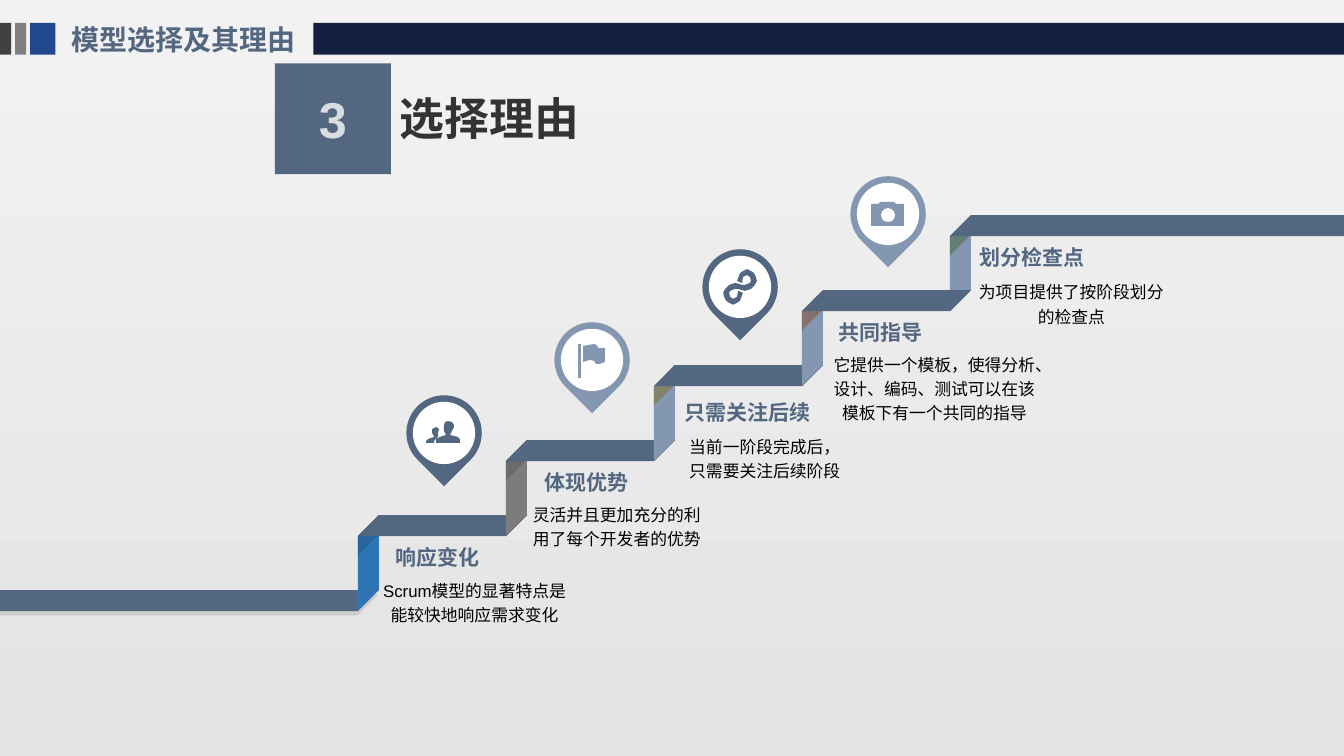
from lxml.etree import SubElement
from pptx import Presentation
from pptx.dml.color import RGBColor
from pptx.enum.shapes import MSO_SHAPE as Preset
from pptx.enum.text import MSO_ANCHOR as Anchor, PP_ALIGN as Align
from pptx.oxml.ns import qn
from pptx.util import Cm, Pt

COLORS = {
    "sky": "F2F2F2", "ground": "E4E4E4", "charcoal": "404040", "gray": "808080",
    "blue": "21478D", "navy": "151F40", "slate": "536781", "mist": "8497B0",
    "white": "FFFFFF", "black": "000000", "heading": "333333", "number": "DADDDF",
    "azure": "2E75B6", "azure_dark": "1F4E79", "stone": "7C7C7C", "stone_dark": "525252",
    "olive": "806000", "rust": "843C0B", "green": "385723",
}
FONT = "Arial"
THICKNESS, RISER, SHADE = 0.53, 2.41, 1.02
RUN, RISE, TREAD = 3.73, 1.89, 4.27
PIN, DISC, LENS = 1.9, 1.57, 0.35

LINK = [(2, -2.5), (5, -1.5), (10, -3.5), (11, -6.5), (10, -9.5), (7, -11.5), (3, -10),
        (2, -4.5), (-3, -5.5), (0, -13.5), (3, -16.5), (7, -17.5), (11, -16.5),
        (14, -13.5), (16.5, -10), (17, -6.5), (15, -1.5), (11, 2), (5, 3.5), (1, 3)]
ICONS = {
    "people": [
        [(-9.5, 7.5), (-6.5, 3.5), (-5.5, 0.5), (-5, -3.5), (-8.5, -5.5), (-11.5, -3.5),
         (-11.5, 0.5), (-10.5, 3.5), (-15.5, 5.5), (-17.5, 7.5), (-17.5, 9.5), (-9.5, 9.5)],
        [(13.5, 3.5), (6.5, 1.5), (8.5, -2.5), (9.5, -5.5), (9.5, -8.5), (8, -11),
         (4.5, -11.5), (1, -11), (0, -8.5), (0, -5.5), (0.5, -2.5), (2.5, 1.5),
         (-4.5, 3.5), (-7.5, 6.5), (-7.5, 9.5), (16.5, 9.5), (16.5, 6.5)]],
    "flag": [
        [(-14, -16.5), (-11, -16.5), (-11, 17.5), (-14, 17.5)],
        [(-9, -13.5), (-4, -15), (2, -16), (5, -15), (5.5, -12), (13, -11.5), (13, 2.5),
         (8, 4), (4, 4), (2.5, 1), (-2, 0.5), (-9, 2.5)]],
    "chain": [LINK + [(-x, -y) for x, y in LINK]],
    "camera": [
        [(-17, -9.5), (-9.5, -9.5), (-7.5, -11.5), (6, -11.5), (8, -9.5), (16.5, -9.5),
         (16.5, 12.5), (-17, 12.5)]],
}
PINS = [("people", "slate"), ("flag", "mist"), ("chain", "slate"), ("camera", "mist")]

STEPS = [
    ("响应变化", (0.94, 0.74), "Scrum模型的显著特点是能较快地响应需求变化",
     (0.45, 1.55, 4.98), "azure", "azure_dark", TREAD),
    ("体现优势", (0.97, 0.75), "灵活并且更加充分的利用了每个开发者的优势",
     (0.66, 1.53, 4.27), "stone", "stone_dark", TREAD),
    ("只需关注后续", (0.77, 0.86), "当前一阶段完成后，只需要关注后续阶段",
     (0.79, 1.7, 4.01), "mist", "olive", TREAD),
    ("共同指导", (0.92, 0.74), "它提供一个模板，使得分析、设计、编码、测试可以在该模板下有一个共同的指导",
     (0.8, 1.53, 5.08), "mist", "rust", TREAD),
    ("划分检查点", (0.75, 0.73), "为项目提供了按阶段划分的检查点",
     (0.67, 1.59, 4.78), "mist", "green", 10.49),
]


def rgb(color):
    """Return the named colour."""
    return RGBColor.from_string(COLORS[color])


def paint(shape, color):
    """Give a shape a flat fill without line or shadow."""
    shape.shadow.inherit = False
    shape.fill.solid()
    shape.fill.fore_color.rgb = rgb(color)
    shape.line.fill.background()
    return shape


def add_block(slide, preset, left, top, width, height, color):
    """Add a plain preset shape."""
    block = slide.shapes.add_shape(preset, Cm(left), Cm(top), Cm(width), Cm(height))
    return paint(block, color)


def write(shape, text, size, color, bold=False, align=Align.LEFT):
    """Write one paragraph into a shape."""
    frame = shape.text_frame
    frame.text = text
    paragraph = frame.paragraphs[0]
    paragraph.alignment = align
    font = paragraph.runs[0].font
    font.name, font.size, font.bold = FONT, Pt(size), bold
    font.color.rgb = rgb(color)
    return paragraph


def add_label(slide, left, top, width, height, text, size, color, bold=False,
              align=Align.LEFT, inset=0.0):
    """Add a wrapping text box and return its paragraph."""
    label = slide.shapes.add_textbox(Cm(left), Cm(top), Cm(width), Cm(height))
    frame = label.text_frame
    frame.word_wrap = True
    frame.margin_left = frame.margin_right = Cm(inset)
    frame.margin_top = frame.margin_bottom = Cm(inset / 2)
    return write(label, text, size, color, bold, align)


def add_tread(slide, left, top, width):
    """Add the slanted horizontal part of a step."""
    tread = add_block(slide, Preset.PARALLELOGRAM, left, top, width, THICKNESS, "slate")
    tread.adjustments[0] = 1
    return tread


def add_upright(slide, left, top, length, color):
    """Add a vertical parallelogram hanging from the given corner."""
    upright = add_block(slide, Preset.PARALLELOGRAM, left + (THICKNESS - length) / 2,
                        top + (length - THICKNESS) / 2, length, THICKNESS, color)
    upright.adjustments[0] = 1
    upright.rotation = 90
    upright._element.spPr.find(qn("a:xfrm")).set("flipH", "1")
    return upright


def set_alpha(shape, percent):
    """Make the fill of a shape partly transparent."""
    tint = shape._element.spPr.find(qn("a:solidFill"))[0]
    SubElement(tint, qn("a:alpha"), val=str(percent * 1000))


def drop_shadow(shape):
    """Put a faint shadow just below a shape."""
    effects = shape._element.spPr.find(qn("a:effectLst"))
    shadow = SubElement(effects, qn("a:outerShdw"), dist=str(Pt(3)), dir="5400000",
                        algn="t", rotWithShape="0")
    shade = SubElement(shadow, qn("a:srgbClr"), val=COLORS["black"])
    SubElement(shade, qn("a:alpha"), val="10000")


def add_header(slide, top, height):
    """Draw the title strip across the slide."""
    for left, width, color in [(0, 0.28, "charcoal"), (0.76, 0.64, "blue"),
                               (0.38, 0.28, "gray"), (7.9, 25.97, "navy")]:
        add_block(slide, Preset.RECTANGLE, left, top, width, height, color)
    add_label(slide, 1.55, top - 0.15, 6.35, 1.12, "模型选择及其理由", 20, "slate", True,
              inset=0.25)


def add_section(slide, left, top, width, height):
    """Draw the numbered badge and the section heading."""
    badge = add_block(slide, Preset.RECTANGLE, left, top, width, height, "slate")
    badge.text_frame.vertical_anchor = Anchor.MIDDLE
    write(badge, "3", 36, "number", True, Align.CENTER)
    add_label(slide, left + width - 0.02, top + 0.56, 14.12, 1.63, "选择理由", 32,
              "heading", True, inset=0.25)


def add_stairs(slide, left, top):
    """Draw the staircase upward from the corner of its first step."""
    drop_shadow(add_tread(slide, left + THICKNESS - 10.11, top + RISE, 10.11))
    for level in (0, 1, 2, 4, 3):
        *_, riser, shade, width = STEPS[level]
        x, y = left + level * RUN, top - level * RISE
        add_upright(slide, x, y, RISER, riser)
        set_alpha(add_upright(slide, x, y, SHADE, shade), 40)
        add_tread(slide, x, y, width)


def add_reasons(slide, left, top):
    """Write a heading and an explanation under every step."""
    for level, (heading, (dx, dy), reason, (rx, ry, width), *_) in enumerate(STEPS):
        x, y = left + level * RUN, top - level * RISE
        add_label(slide, x + dx, y + dy, 7.19, 0.97, heading, 15, "slate", True)
        body = add_label(slide, x + rx, y + ry, width, 0.94, reason, 12, "black",
                         align=Align.CENTER)
        body.line_spacing = 1.2


def add_pin(slide, x, y, icon, color):
    """Draw a map pin with its icon around a centre point."""
    pin = add_block(slide, Preset.TEAR, x - PIN / 2, y - PIN / 2, PIN, PIN, color)
    pin.rotation = 135
    add_block(slide, Preset.OVAL, x - DISC / 2, y - DISC / 2, DISC, DISC, "white")
    for outline in ICONS[icon]:
        builder = slide.shapes.build_freeform(*outline[0], scale=Cm(0.025))
        builder.add_line_segments(outline[1:], close=True)
        paint(builder.convert_to_shape(Cm(x), Cm(y)), color)
    if icon == "camera":
        add_block(slide, Preset.OVAL, x - LENS / 2, y - LENS / 2 + 0.03, LENS, LENS, "white")


def main():
    """Build the slide and save it."""
    deck = Presentation()
    deck.slide_width, deck.slide_height = Cm(33.87), Cm(19.05)
    slide = deck.slides.add_slide(deck.slide_layouts[6])
    backdrop = slide.background.fill
    backdrop.gradient()
    backdrop.gradient_angle = 270
    for stop, color in zip(backdrop.gradient_stops, ("sky", "ground")):
        stop.color.rgb = rgb(color)
    add_header(slide, 0.58, 0.8)
    add_stairs(slide, 9.02, 12.98)
    for level, (icon, color) in enumerate(PINS):
        add_pin(slide, 11.19 + level * RUN, 10.91 - level * 1.84, icon, color)
    add_reasons(slide, 9.02, 12.98)
    add_section(slide, 6.93, 1.6, 2.92, 2.79)
    deck.save("out.pptx")


if __name__ == "__main__":
    main()
